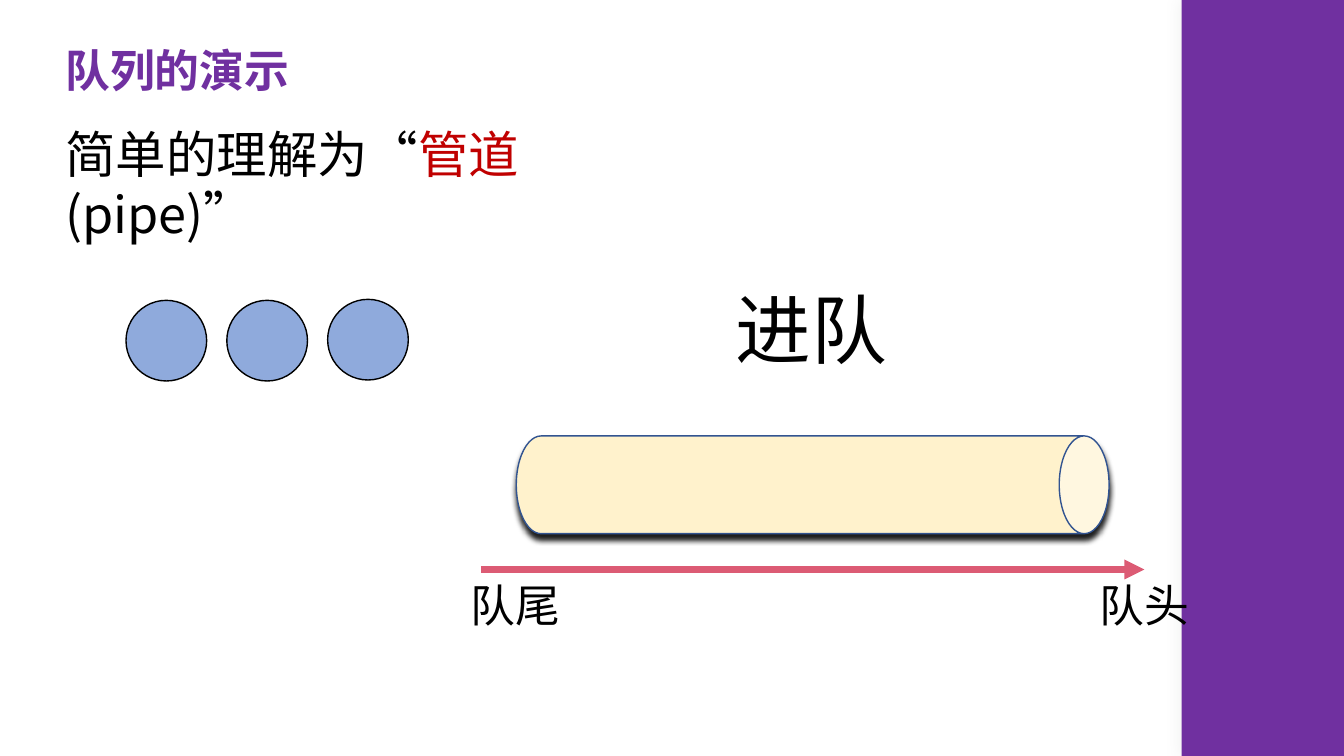
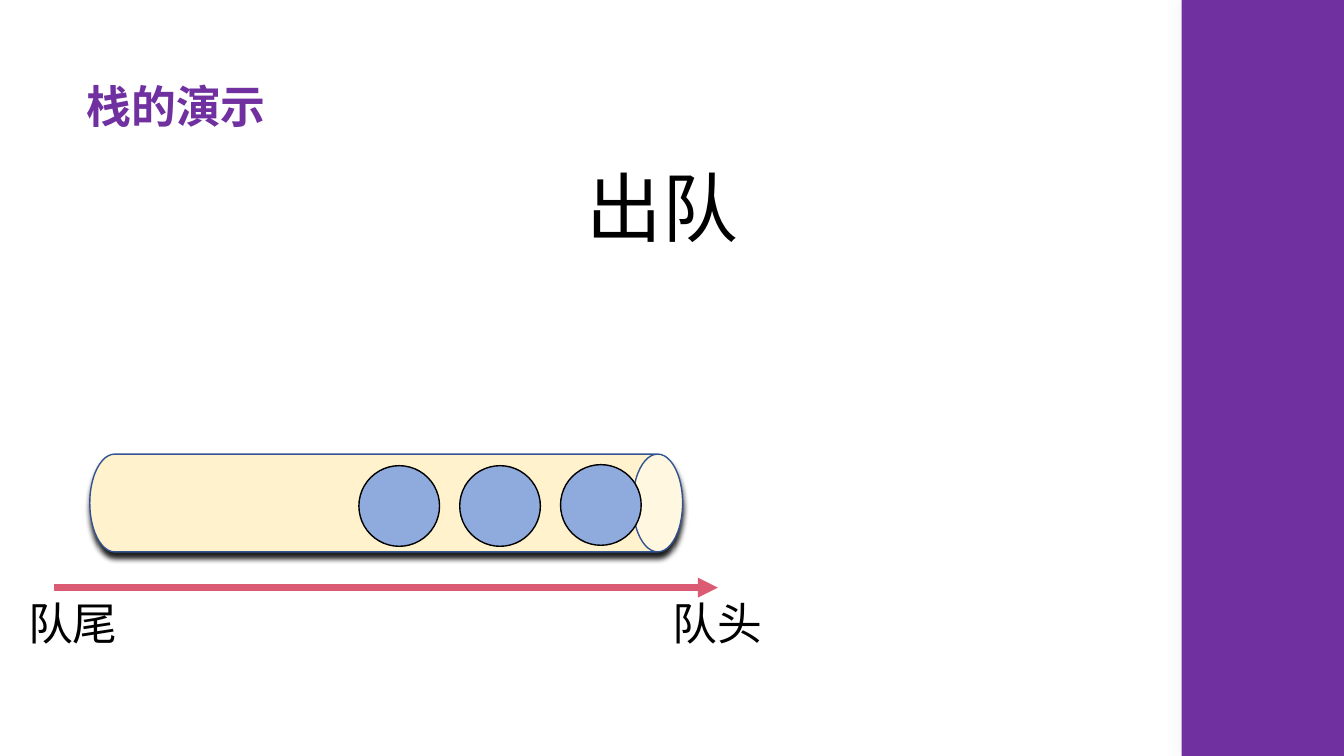
"""Build two slides that show a queue as a pipe: entering and leaving."""
from lxml.etree import SubElement
from pptx import Presentation
from pptx.dml.color import RGBColor
from pptx.enum.shapes import MSO_CONNECTOR as LINE, MSO_SHAPE as SHAPE
from pptx.enum.text import MSO_AUTO_SIZE as FIT
from pptx.oxml.ns import qn
from pptx.util import Inches, Pt

PURPLE, RED, BLACK = "7030A0", "C00000", "000000"
CREAM, NAVY, BLUE, ROSE = "FFF2CC", "325491", "8FAADC", "DC5B74"
BAND_GLOW, PIPE_SHADOW = ("D5D7D5", 40, 10, 0, 0), (BLACK, 87, 4, 4, 90)
CJK = "Noto Sans CJK SC"

SLIDES = [
    {"title": ("队列的演示", 0.55, 0.37, 2.43),
     "intro": [("简单的理解为“", BLACK), ("管道", RED), ("(pipe)”", BLACK)],
     "action": ("进队", 7.2, 2.76),
     "pipe": (8.06, 4.81), "tail": ("队尾", 4.57), "head": ("队头", 10.81),
     "balls": (1.25, 2.98)},
    {"title": ("栈的演示", 0.76, 0.73, 2),
     "intro": [],
     "action": ("出队", 5.72, 1.55),
     "pipe": (3.83, 4.99), "tail": ("队尾", 0.18), "head": ("队头", 6.57),
     "balls": (3.56, 4.62)},
]
PIPE_THICK, PIPE_LONG, ARROW_HALF, ARROW_DROP = 0.97, 5.88, 3.29, 0.84
BALL, BALL_STEP, BALL_COUNT, FRONT_LIFT = 0.8, 1, 3, 0.01


def color(hex_code):
    return RGBColor.from_string(hex_code)


def add_text(slide, box, runs, size, font=CJK, bold=False, wrap=False):
    frame = slide.shapes.add_textbox(*map(Inches, box)).text_frame
    frame.word_wrap = wrap
    frame.auto_size = FIT.SHAPE_TO_FIT_TEXT
    for words, ink in runs:
        run = frame.paragraphs[0].add_run()
        run.text = words
        run.font.size, run.font.bold, run.font.name = Pt(size), bold, font
        run.font.color.rgb = color(ink)
        SubElement(run.font._element, qn("a:ea"), typeface=CJK)


def add_solid(slide, kind, box, fill, line=None, shadow=None):
    solid = slide.shapes.add_shape(kind, *map(Inches, box))
    solid.shadow.inherit = False
    solid.fill.solid()
    solid.fill.fore_color.rgb = color(fill)
    if line:
        solid.line.color.rgb = color(line)
        solid.line.width = Pt(1)
    else:
        solid.line.fill.background()
    if shadow:
        ink, alpha, blur, distance, angle = shadow
        effects = solid._element.spPr.find(qn("a:effectLst"))
        outer = SubElement(effects, qn("a:outerShdw"), blurRad=str(Pt(blur)),
                           dist=str(Pt(distance)), dir=str(angle * 60000),
                           algn="ctr", rotWithShape="0")
        tint = SubElement(outer, qn("a:srgbClr"), val=ink)
        SubElement(tint, qn("a:alpha"), val=str(alpha * 1000))
    return solid


def add_arrow(slide, start, end, y):
    arrow = slide.shapes.add_connector(LINE.STRAIGHT, *map(Inches, (start, y, end, y)))
    arrow.line.color.rgb = color(ROSE)
    arrow.line.width = Pt(4.75)
    SubElement(arrow.line._get_or_add_ln(), qn("a:tailEnd"), type="triangle")
    SubElement(arrow._element.spPr, qn("a:effectLst"))


def add_base(slide, words, left, top, width):
    add_text(slide, (left, top, width, 0.64), [(words, PURPLE)], 32, "Arial", True)
    add_solid(slide, SHAPE.RECTANGLE, (11.72, 0, 1.61, 7.5), PURPLE, shadow=BAND_GLOW)


def add_queue(slide, center, labels):
    x, y = center
    box = (x - PIPE_THICK / 2, y - PIPE_LONG / 2, PIPE_THICK, PIPE_LONG)
    pipe = add_solid(slide, SHAPE.CAN, box, CREAM, NAVY, PIPE_SHADOW)
    pipe.adjustments[0] = 0.51
    pipe.rotation = 90
    add_arrow(slide, x - ARROW_HALF, x + ARROW_HALF, y + ARROW_DROP)
    for words, left in labels:
        add_text(slide, (left, y + 0.87, 1.1, 0.64), [(words, BLACK)], 32)


def add_balls(slide, left, top):
    for place in range(BALL_COUNT):
        lift = FRONT_LIFT if place == BALL_COUNT - 1 else 0
        box = (left + place * BALL_STEP, top - lift, BALL, BALL)
        add_solid(slide, SHAPE.OVAL, box, BLUE, BLACK)


deck = Presentation()
deck.slide_width, deck.slide_height = Inches(13.33), Inches(7.5)
for content in SLIDES:
    slide = deck.slides.add_slide(deck.slide_layouts[6])
    add_base(slide, *content["title"])
    if content["intro"]:
        add_text(slide, (0.55, 1.17, 6.39, 0.71), content["intro"], 36, wrap=True)
    add_queue(slide, content["pipe"], (content["tail"], content["head"]))
    action, left, top = content["action"]
    add_text(slide, (left, top, 1.72, 1.01), [(action, BLACK)], 54)
    add_balls(slide, *content["balls"])
deck.save("out.pptx")
